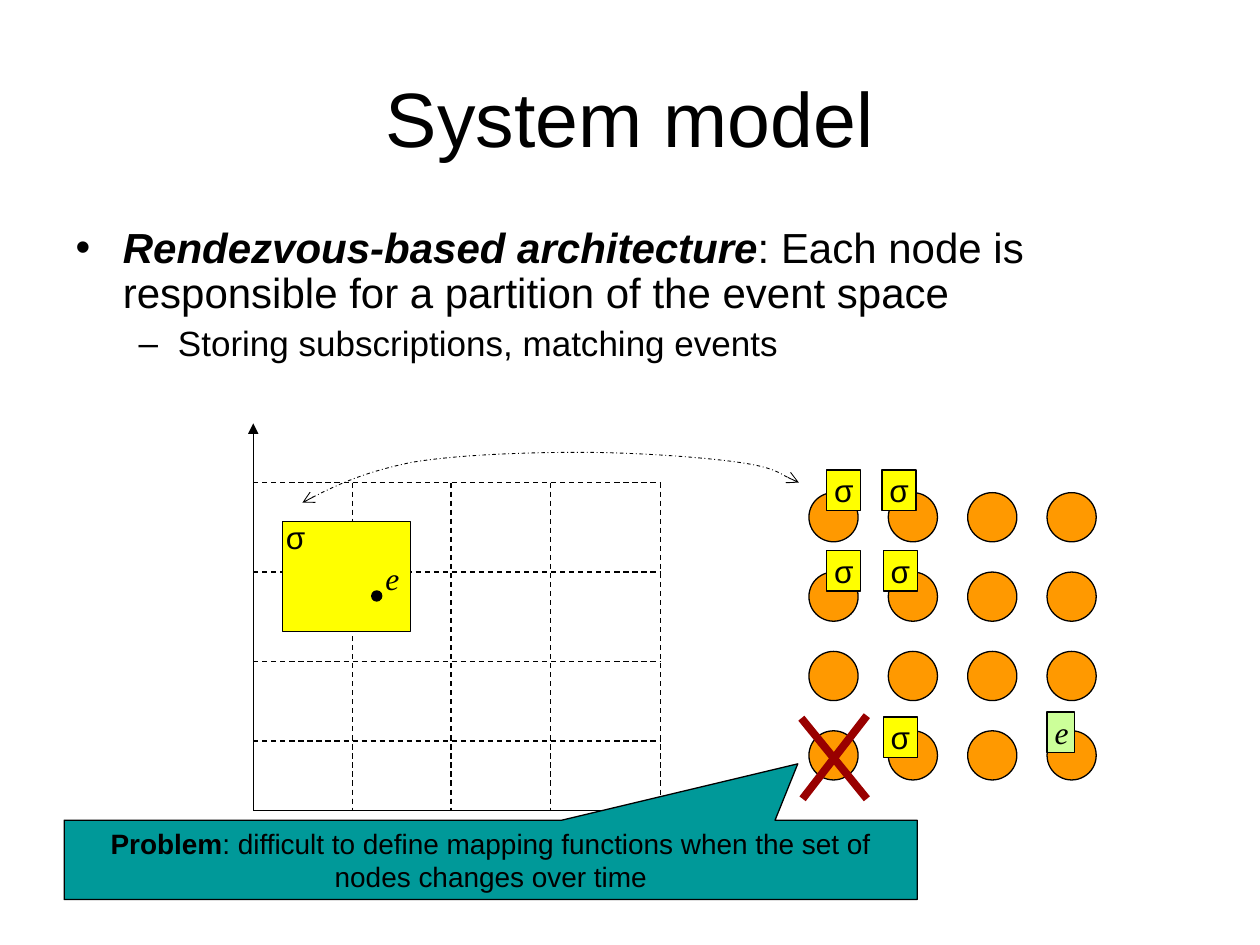
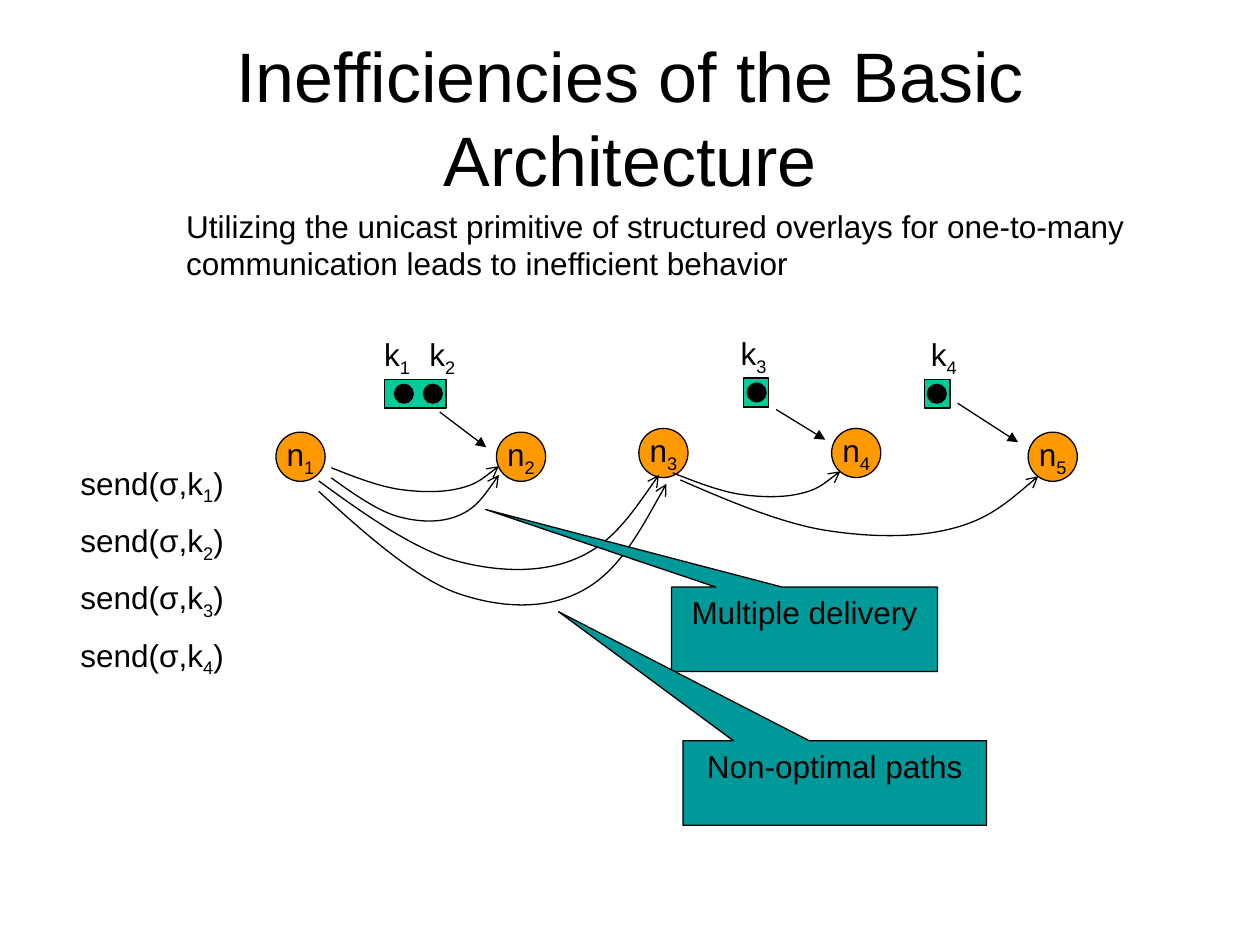
from dataclasses import dataclass
from itertools import product

from lxml.etree import SubElement
from pptx import Presentation
from pptx.dml.color import RGBColor
from pptx.enum.dml import MSO_LINE
from pptx.enum.shapes import MSO_CONNECTOR, MSO_SHAPE
from pptx.enum.text import MSO_ANCHOR, MSO_AUTO_SIZE, PP_ALIGN
from pptx.oxml.ns import qn
from pptx.util import Inches, Pt


@dataclass(frozen=True)
class Theme:
    """Colours, fonts and sizes shared by the slides."""
    black: str = "000000"
    node: str = "FF9900"
    subscription: str = "FFFF00"
    event: str = "CCFF99"
    key: str = "00CC99"
    callout: str = "009999"
    failure: str = "990000"
    font: str = "Arial"
    serif: str = "Times New Roman"
    title_size: int = 44
    long_title_size: int = 40
    body_sizes: tuple = (24, 20)
    label_size: int = 18
    note_size: int = 16
    thin: float = 0.75
    hairline: float = 0.5
    thick: float = 4.5


@dataclass(frozen=True)
class Box:
    """A rectangle in inches."""
    left: float
    top: float
    width: float
    height: float

    def inner(self, x, y, width, height):
        """Return a box offset from this one's corner."""
        return Box(self.left + x, self.top + y, width, height)

    def point(self, x, y):
        """Return the slide position of an offset from this corner."""
        return Inches(self.left + x), Inches(self.top + y)

    def emu(self):
        """Return the four lengths for python-pptx calls."""
        return tuple(map(Inches, (self.left, self.top, self.width, self.height)))


THEME = Theme()
NODE_SIZE = 0.39
ROUTE_CURVE = tuple(zip(
    (0, 0.13, 0.27, 0.39, 0.52, 0.65, 0.75, 0.86, 0.93, 1),
    (0.06, 0.39, 0.73, 0.86, 0.99, 1, 0.86, 0.71, 0.34, 0)))
MAPPING_CURVE = tuple(zip(
    (0, 0.06, 0.13, 0.22, 0.31, 0.45, 0.56, 0.67, 0.81, 0.88, 0.95, 0.98, 1),
    (1, 0.68, 0.38, 0.2, 0.05, 0, 0, 0, 0.1, 0.2, 0.3, 0.53, 0.6)))


def write(paragraph, parts, size, font=THEME.font, align=None, italic=None):
    """Fill a paragraph with (text, style) parts."""
    paragraph.alignment = align
    paragraph.font.name = font
    paragraph.font.size = Pt(size)
    paragraph.font.italic = italic
    paragraph.font.color.rgb = RGBColor.from_string(THEME.black)
    for text, style in parts:
        run = paragraph.add_run()
        run.text = text
        if "bold" in style:
            run.font.bold = True
        if "italic" in style:
            run.font.italic = True
        if "sub" in style:
            run._r.get_or_add_rPr().set("baseline", "-25000")


def plain(text):
    """Return text as a single unstyled part."""
    return [(text, "")]


def indexed(name, index, ending=""):
    """Return parts for a name with a subscript."""
    return [(name, ""), (str(index), "sub"), *([(ending, "")] if ending else [])]


def style_line(line, color=THEME.black, width=THEME.thin, dash=None, head=None, tail=None):
    """Set a line's colour, width, dash and arrowheads."""
    line.color.rgb = RGBColor.from_string(color)
    line.width = Pt(width)
    if dash:
        line.dash_style = dash
    for tag, kind in (("a:headEnd", head), ("a:tailEnd", tail)):
        if kind:
            SubElement(line._get_or_add_ln(), qn(tag)).set("type", kind)


def add_shape(slide, kind, box, fill):
    """Add a flat outlined preset shape."""
    shape = slide.shapes.add_shape(kind, *box.emu())
    shape.shadow.inherit = False
    shape.fill.solid()
    shape.fill.fore_color.rgb = RGBColor.from_string(fill)
    style_line(shape.line)
    return shape


def add_line(slide, start, end, **style):
    """Add a straight connector."""
    connector = slide.shapes.add_connector(MSO_CONNECTOR.STRAIGHT, *start, *end)
    style_line(connector.line, **style)
    SubElement(connector._element.spPr, qn("a:effectLst"))


def add_curve(slide, box, fractions, **style):
    """Add an open Bezier curve whose control points are fractions of a box."""
    points = [box.point(x * box.width, y * box.height) for x, y in fractions]
    builder = slide.shapes.build_freeform(*points[0])
    builder.add_line_segments(points[1:], close=False)
    shape = builder.convert_to_shape()
    outline = next(shape._element.iter(qn("a:path")))
    segments = outline.findall(qn("a:lnTo"))
    for first in range(0, len(segments), 3):
        bezier = SubElement(outline, qn("a:cubicBezTo"))
        for segment in segments[first:first + 3]:
            bezier.append(segment[0])
            outline.remove(segment)
    shape.shadow.inherit = False
    shape.fill.background()
    style_line(shape.line, **style)


def add_label(slide, box, parts, wrap=False, **style):
    """Add a text box sized to its text."""
    frame = slide.shapes.add_textbox(*box.emu()).text_frame
    frame.word_wrap = wrap
    frame.auto_size = MSO_AUTO_SIZE.SHAPE_TO_FIT_TEXT
    write(frame.paragraphs[0], parts, THEME.label_size, **style)


def add_callout(slide, box, pointer, parts, size=THEME.label_size):
    """Add a teal callout pointing at a relative position."""
    shape = add_shape(slide, MSO_SHAPE.RECTANGULAR_CALLOUT, box, THEME.callout)
    for index, value in enumerate(pointer):
        shape.adjustments[index] = value
    frame = shape.text_frame
    frame.word_wrap = True
    frame.vertical_anchor = MSO_ANCHOR.TOP
    write(frame.paragraphs[0], parts, size, align=PP_ALIGN.CENTER)


def add_tag(slide, box, text, fill, **style):
    """Add a small tag holding one symbol."""
    frame = add_shape(slide, MSO_SHAPE.RECTANGLE, box, fill).text_frame
    frame.margin_left = frame.margin_right = Inches(0.06)
    frame.margin_top = frame.margin_bottom = Inches(0.01)
    frame.vertical_anchor = MSO_ANCHOR.MIDDLE
    write(frame.paragraphs[0], plain(text), THEME.label_size, align=PP_ALIGN.LEFT, **style)


def set_title(slide, box, text, size):
    """Place and fill the title placeholder."""
    title = slide.shapes.title
    title.left, title.top, title.width, title.height = box.emu()
    frame = title.text_frame
    frame.auto_size = MSO_AUTO_SIZE.NONE
    frame.vertical_anchor = MSO_ANCHOR.MIDDLE
    write(frame.paragraphs[0], plain(text), size, align=PP_ALIGN.CENTER)


def set_body(slide, box, items):
    """Fill the body placeholder with one item per level."""
    body = slide.placeholders[1]
    body.left, body.top, body.width, body.height = box.emu()
    frame = body.text_frame
    frame.auto_size = MSO_AUTO_SIZE.NONE
    for level, parts in enumerate(items):
        paragraph = frame.add_paragraph() if level else frame.paragraphs[0]
        paragraph.level = level
        paragraph.line_spacing = 0.9
        paragraph.space_before = Pt(5 if level else 0)
        write(paragraph, parts, THEME.body_sizes[level])


def event_space(slide, box):
    """Draw the axes, the dashed partition and one subscription with an event."""
    origin = box.point(0, box.height)
    for end in (box.point(box.width, box.height), box.point(0, 0)):
        add_line(slide, origin, end, tail="triangle")
    columns, rows = (0.79, 1.57, 2.36, 3.23), (0.47, 1.18, 1.89, 2.52)
    for x in columns:
        add_line(slide, box.point(x, rows[0]), box.point(x, box.height), dash=MSO_LINE.DASH)
    for y in rows:
        add_line(slide, box.point(0, y), box.point(columns[-1], y), dash=MSO_LINE.DASH)
    add_shape(slide, MSO_SHAPE.RECTANGLE, box.inner(0.23, 0.78, 1.02, 0.87), THEME.subscription)
    add_label(slide, box.inner(0.16, 0.7, 0.35, 0.4), plain("σ"))
    add_shape(slide, MSO_SHAPE.OVAL, box.inner(0.94, 1.33, 0.08, 0.08), THEME.black)
    add_label(slide, box.inner(0.95, 1.03, 0.31, 0.4), plain("e"), font=THEME.serif, italic=True)


def node_grid(slide, box):
    """Draw the four by four grid of nodes."""
    pitch = (box.width - NODE_SIZE) / 3
    for row, column in product(range(4), repeat=2):
        cell = box.inner(column * pitch, row * pitch, NODE_SIZE, NODE_SIZE)
        add_shape(slide, MSO_SHAPE.OVAL, cell, THEME.node)


def node_marks(slide, box):
    """Tag the nodes with stored items and cross out the failed one."""
    for x, y in ((0.14, 0.46), (0.14, -0.18), (0.59, 0.46), (0.58, -0.18), (0.59, 1.78)):
        add_tag(slide, box.inner(x, y, 0.27, 0.32), "σ", THEME.subscription)
    add_tag(slide, box.inner(1.89, 1.74, 0.22, 0.32), "e", THEME.event,
            font=THEME.serif, italic=True)
    for start, end in (((-0.06, 1.79), (0.46, 2.43)), ((-0.05, 2.43), (0.46, 1.77))):
        add_line(slide, box.point(*start), box.point(*end),
                 color=THEME.failure, width=THEME.thick)


def key_holder(slide, box, keys):
    """Draw a key holder with a dot and a label for each (index, dot, label) key."""
    add_shape(slide, MSO_SHAPE.RECTANGLE, box, THEME.key)
    for index, dot_x, label_x in keys:
        add_shape(slide, MSO_SHAPE.OVAL, box.inner(dot_x, 0.04, 0.15, 0.15), THEME.black)
        add_label(slide, box.inner(label_x, -0.4, 0.44, 0.44), indexed("k", index))


def overlay_routes(slide, box):
    """Draw the nodes, their keys and the routes between them."""
    holders = ((1.05, 0.41, 0.49, ((1, 0.08, -0.1), (2, 0.31, 0.26))),
               (3.9, 0.4, 0.2, ((3, 0.03, -0.12),)),
               (5.34, 0.41, 0.2, ((4, 0.02, -0.05),)))
    for x, y, width, keys in holders:
        key_holder(slide, box.inner(x, y, width, 0.23), keys)
    nodes = ((0.19, 0.83), (1.94, 0.83), (3.07, 0.8), (4.6, 0.8), (6.16, 0.83))
    for index, (x, y) in enumerate(nodes, 1):
        node = add_shape(slide, MSO_SHAPE.OVAL, box.inner(x, y, NODE_SIZE, NODE_SIZE), THEME.node)
        node.text_frame.word_wrap = False
        node.text_frame.vertical_anchor = MSO_ANCHOR.MIDDLE
        write(node.text_frame.paragraphs[0], indexed("n", index), THEME.label_size,
              align=PP_ALIGN.CENTER)
    routes = ((0.63, 1.1, 1.33, 0.21), (0.63, 1.17, 1.33, 0.38), (0.53, 1.17, 2.7, 0.78),
              (3.34, 1.14, 1.33, 0.21), (0.53, 1.24, 2.76, 1), (3.4, 1.18, 2.84, 0.49))
    for route in routes:
        add_curve(slide, box.inner(*route), ROUTE_CURVE, tail="arrow")
    for start, end in (((1.49, 0.67), (1.86, 0.95)), ((4.16, 0.65), (4.55, 0.89)),
                       ((5.6, 0.6), (6.08, 0.91))):
        add_line(slide, box.point(*start), box.point(*end), tail="triangle")


def send_calls(slide, box):
    """List the four send calls at an even pitch."""
    for row in range(4):
        add_label(slide, box.inner(0, row * box.height / 4, box.width, 0.44),
                  indexed("send(σ,k", row + 1, ")"))


def system_model(presentation, title_box):
    """Build the system model slide."""
    slide = presentation.slides.add_slide(presentation.slide_layouts[1])
    set_title(slide, title_box, "System model", THEME.title_size)
    set_body(slide, Box(0.5, 1.75, 9, 1.29), (
        [("Rendezvous-based architecture", "bold italic"),
         (": Each node is responsible for a partition of the event space", "")],
        plain("Storing subscriptions, matching events")))
    nodes = Box(6.42, 3.91, 2.28, 2.28)
    event_space(slide, Box(2.01, 3.36, 3.78, 3.07))
    node_grid(slide, nodes)
    add_curve(slide, Box(2.4, 3.59, 3.94, 0.4), MAPPING_CURVE, width=THEME.hairline,
              dash=MSO_LINE.DASH_DOT, head="arrow", tail="arrow")
    add_callout(slide, Box(0.51, 6.51, 6.77, 0.63), (0.36, -1.21), [
        ("Problem", "bold"),
        (": difficult to define mapping functions when the set of nodes changes over time", "")],
        THEME.note_size)
    node_marks(slide, nodes)


def inefficiencies(presentation, title_box):
    """Build the inefficiencies slide."""
    slide = presentation.slides.add_slide(presentation.slide_layouts[5])
    set_title(slide, title_box, "Inefficiencies of the Basic Architecture", THEME.long_title_size)
    add_label(slide, Box(1.38, 1.59, 7.86, 0.7), plain(
        "Utilizing the unicast primitive of structured overlays for one-to-many "
        "communication leads to inefficient behavior"), wrap=True)
    overlay_routes(slide, Box(2, 2.6, 6.55, 2.24))
    send_calls(slide, Box(0.54, 3.63, 1.34, 1.82))
    add_callout(slide, Box(5.33, 4.66, 2.11, 0.67), (-1.2, -1.42), plain("Multiple delivery"))
    add_callout(slide, Box(5.42, 5.88, 2.41, 0.67), (-0.91, -2.03), plain("Non-optimal paths"))


def main():
    """Build and save the presentation."""
    presentation = Presentation()
    presentation.slide_width, presentation.slide_height = Inches(10), Inches(7.5)
    title_box = Box(0.5, 0.3, 9, 1.25)
    system_model(presentation, title_box)
    inefficiencies(presentation, title_box)
    presentation.save("out.pptx")


if __name__ == "__main__":
    main()
